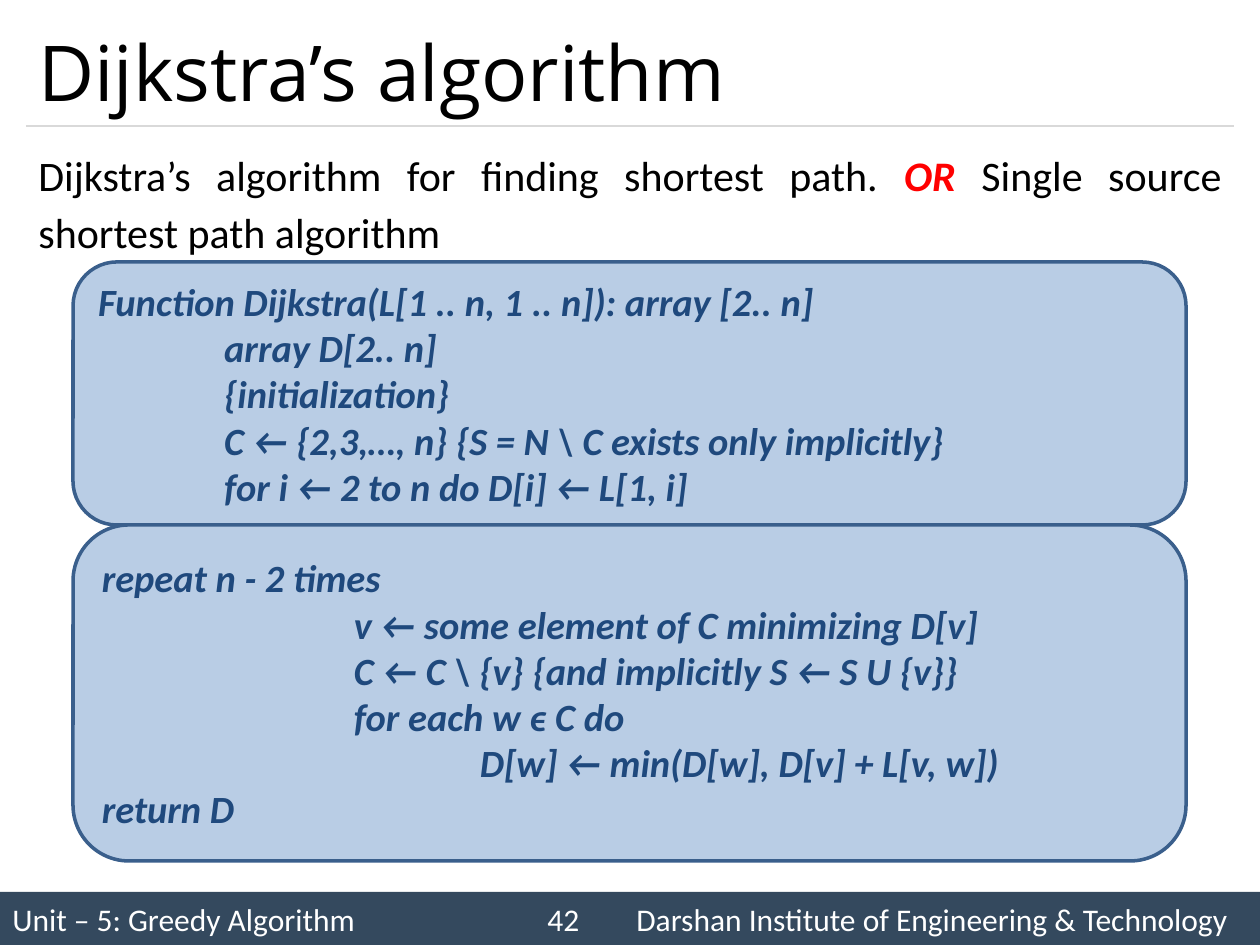
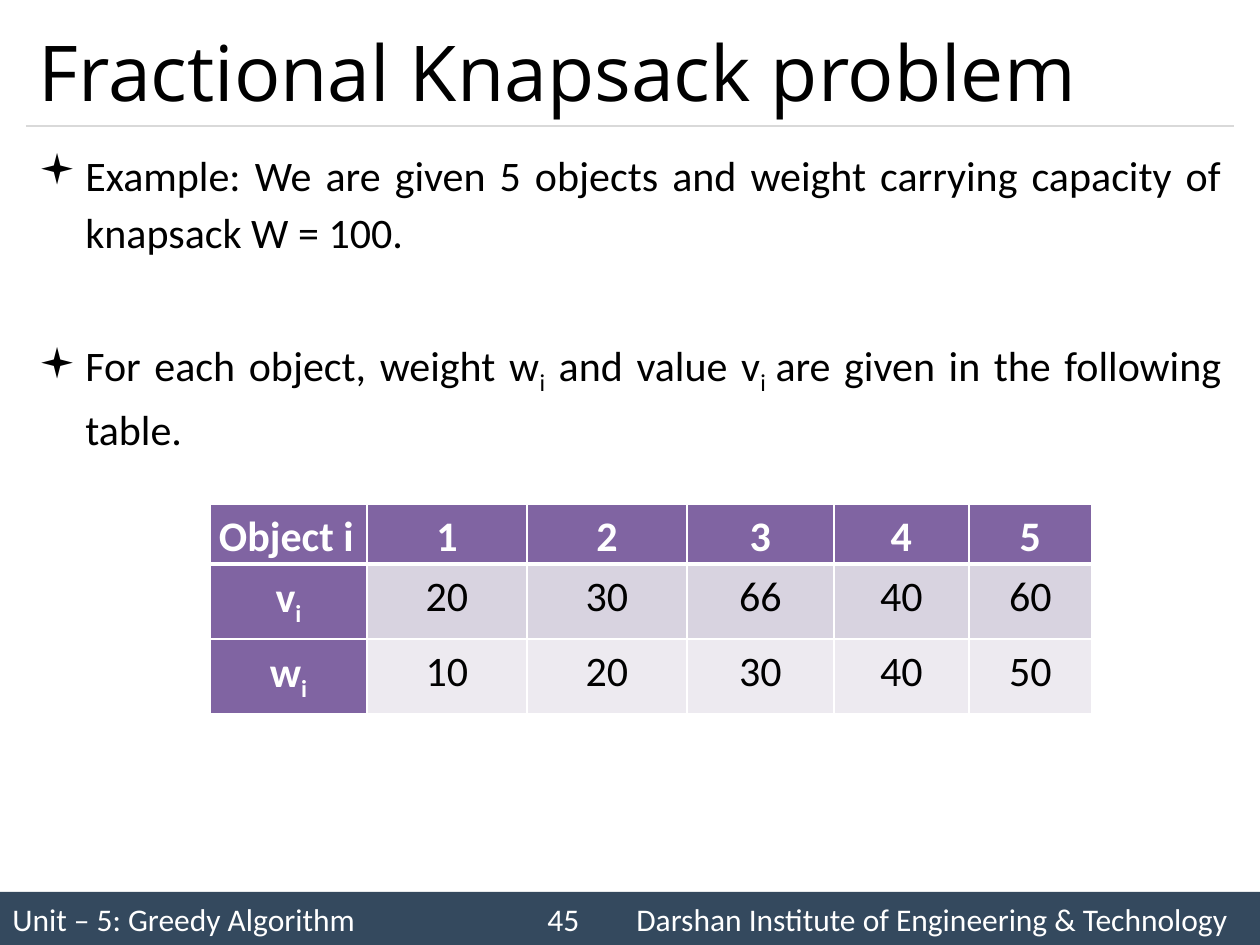
from pptx import Presentation
from pptx.dml.color import RGBColor
from pptx.enum.shapes import MSO_CONNECTOR, MSO_SHAPE
from pptx.enum.text import MSO_ANCHOR, PP_ALIGN
from pptx.oxml.ns import qn
from pptx.util import Pt
from lxml.etree import SubElement

SCALE = 914400 / 126
WIDTH, HEIGHT = 1260, 945
MARGIN = 26
RULE_Y = 126
BAND_HEIGHT = 53
FOOTER_TABS = (535, 624)
CODE_TABS = (126, 252, 378)
BULLET_INDENT = 47

BLACK = RGBColor(0x00, 0x00, 0x00)
WHITE = RGBColor(0xFF, 0xFF, 0xFF)
RED = RGBColor(0xFF, 0x00, 0x00)
RULE_GREY = RGBColor(0xD9, 0xD9, 0xD9)
BAND_BLUE = RGBColor(0x34, 0x49, 0x5E)
CODE_FILL = RGBColor(0xB9, 0xCD, 0xE5)
CODE_LINE = RGBColor(0x3A, 0x5F, 0x8C)
CODE_TEXT = RGBColor(0x1F, 0x49, 0x7D)
PURPLE = RGBColor(0x80, 0x64, 0xA2)
ROW_TINTS = (RGBColor(0xD8, 0xD3, 0xE0), RGBColor(0xED, 0xEA, 0xF0))

TITLE_FONT = "Open Sans"
TEXT_FONT = "Calibri"
BULLET_FONT = "Wingdings"

UNIT = "Unit – 5: Greedy Algorithm"
INSTITUTE = "Darshan Institute of Engineering & Technology"

INITIALIZATION = """Function Dijkstra(L[1 .. n, 1 .. n]): array [2.. n]
\tarray D[2.. n]
\t{initialization}
\tC ← {2,3,…, n} {S = N \\ C exists only implicitly}
\tfor i ← 2 to n do D[i] ← L[1, i]"""

GREEDY_LOOP = """repeat n - 2 times
\t\tv ← some element of C minimizing D[v]
\t\tC ← C \\ {v} {and implicitly S ← S U {v}}
\t\tfor each w ϵ C do
\t\t\tD[w] ← min(D[w], D[v] + L[v, w])
return D"""

COLUMN_WIDTHS = (157, 160, 160, 147, 135, 123)
ROW_HEIGHTS = (60, 75, 75)
KNAPSACK_ROWS = (
    (("Object i",), "1", "2", "3", "4", "5"),
    (("v", "i"), "20", "30", "66", "40", "60"),
    (("w", "i"), "10", "20", "30", "40", "50"),
)


def px(length):
    return round(length * SCALE)


def area(*lengths):
    return [px(length) for length in lengths]


def style(span, size, color=BLACK, font=TEXT_FONT, bold=False, italic=False):
    span.font.name = font
    span.font.size = Pt(size)
    span.font.color.rgb = color
    span.font.bold = bold
    span.font.italic = italic


def add_span(para, text, size=24, subscript=False, **look):
    span = para.add_run()
    span.text = text
    style(span, size, **look)
    if subscript:
        span._r.get_or_add_rPr().set("baseline", "-25000")


def set_tabs(para, positions):
    tabs = SubElement(para._p.get_or_add_pPr(), qn("a:tabLst"))
    for position in positions:
        SubElement(tabs, qn("a:tab"), pos=str(px(position)), algn="l")


def add_shape(page, kind, bounds, fill, line=None):
    shape = page.shapes.add_shape(kind, *area(*bounds))
    shape.shadow.inherit = False
    shape.fill.solid()
    shape.fill.fore_color.rgb = fill
    if line is None:
        shape.line.fill.background()
    else:
        shape.line.color.rgb = line
        shape.line.width = Pt(2)
    shape.text_frame.word_wrap = True
    shape.text_frame.vertical_anchor = MSO_ANCHOR.MIDDLE
    return shape


def add_footer(page, number):
    bounds = (0, HEIGHT - BAND_HEIGHT, WIDTH, BAND_HEIGHT)
    band = add_shape(page, MSO_SHAPE.RECTANGLE, bounds, BAND_BLUE)
    para = band.text_frame.paragraphs[0]
    para.alignment = PP_ALIGN.LEFT
    set_tabs(para, FOOTER_TABS)
    add_span(para, f"{UNIT}\t{number}\t{INSTITUTE}", 18, color=WHITE)


def add_rule(page):
    rule = page.shapes.add_connector(
        MSO_CONNECTOR.STRAIGHT, *area(MARGIN, RULE_Y, WIDTH - MARGIN, RULE_Y))
    rule.line.color.rgb = RULE_GREY
    rule.line.width = Pt(0.75)
    SubElement(rule._element.spPr, qn("a:effectLst"))


def add_text_box(page, top, height, anchor):
    box = page.shapes.add_textbox(*area(MARGIN, top, WIDTH - 2 * MARGIN, height))
    box.text_frame.word_wrap = True
    box.text_frame.vertical_anchor = anchor
    return box.text_frame


def add_page(deck, title, number):
    page = deck.slides.add_slide(deck.slide_layouts[6])
    add_footer(page, number)
    add_rule(page)
    frame = add_text_box(page, 15, 111, MSO_ANCHOR.MIDDLE)
    add_span(frame.paragraphs[0], title, 44, font=TITLE_FONT)
    return page


def add_body(page):
    return add_text_box(page, 136, 735, MSO_ANCHOR.TOP)


def format_body(para, bullet=False):
    para.alignment = PP_ALIGN.JUSTIFY
    para.line_spacing = 1.14
    if bullet:
        properties = para._p.get_or_add_pPr()
        properties.set("marL", str(px(BULLET_INDENT)))
        properties.set("indent", str(-px(BULLET_INDENT)))
        SubElement(properties, qn("a:buFont"), typeface=BULLET_FONT)
        SubElement(properties, qn("a:buChar"), char="▪")


def add_code_panel(page, top, height, code):
    panel = add_shape(page, MSO_SHAPE.ROUNDED_RECTANGLE,
                      (73, top, 1113, height), CODE_FILL, CODE_LINE)
    panel.text_frame.text = code
    for para in panel.text_frame.paragraphs:
        para.alignment = PP_ALIGN.LEFT
        set_tabs(para, CODE_TABS)
        for span in para.runs:
            style(span, 22, CODE_TEXT, bold=True, italic=True)


def set_borders(cell, top, bottom):
    properties = cell._tc.get_or_add_tcPr()
    for side, width in (("L", 1), ("R", 1), ("T", top), ("B", bottom)):
        line = SubElement(properties, qn(f"a:ln{side}"), w=str(Pt(width)))
        fill = SubElement(line, qn("a:solidFill"))
        SubElement(fill, qn("a:srgbClr"), val=str(WHITE))


def fill_cell(cell, content, row, column):
    heading = row == 0 or column == 0
    set_borders(cell, 3 if row == 1 else 1, 3 if row == 0 else 1)
    cell.fill.solid()
    cell.fill.fore_color.rgb = PURPLE if heading else ROW_TINTS[row - 1]
    cell.margin_left = cell.margin_right = px(9)
    cell.margin_top = cell.margin_bottom = 0
    para = cell.text_frame.paragraphs[0]
    corner = row == column == 0
    para.alignment = PP_ALIGN.JUSTIFY if corner else PP_ALIGN.CENTER
    para.line_spacing = 1.15
    parts = content if column == 0 else (content,)
    for index, text in enumerate(parts):
        add_span(para, text, subscript=index == 1, bold=heading,
                 color=WHITE if heading else BLACK)


def add_knapsack_table(page):
    bounds = area(210, 504, sum(COLUMN_WIDTHS), sum(ROW_HEIGHTS))
    table = page.shapes.add_table(
        len(ROW_HEIGHTS), len(COLUMN_WIDTHS), *bounds).table
    for column, width in zip(table.columns, COLUMN_WIDTHS):
        column.width = px(width)
    for row, height in zip(table.rows, ROW_HEIGHTS):
        row.height = px(height)
    for row, contents in enumerate(KNAPSACK_ROWS):
        for column, content in enumerate(contents):
            fill_cell(table.cell(row, column), content, row, column)


def build_dijkstra(deck):
    page = add_page(deck, "Dijkstra’s algorithm", 42)
    para = add_body(page).paragraphs[0]
    format_body(para)
    add_span(para, "Dijkstra’s algorithm for finding shortest path. ")
    add_span(para, "OR", color=RED, bold=True, italic=True)
    add_span(para, " Single source shortest path algorithm")
    add_code_panel(page, 262, 263, INITIALIZATION)
    add_code_panel(page, 525, 336, GREEDY_LOOP)


def build_knapsack(deck):
    page = add_page(deck, "Fractional Knapsack problem", 45)
    body = add_body(page)
    example = body.paragraphs[0]
    format_body(example, bullet=True)
    add_span(example, "Example: We are given 5 objects and weight carrying "
                      "capacity of knapsack W = 100.")
    given = body.add_paragraph()
    given.space_before = Pt(42.5)
    format_body(given, bullet=True)
    add_span(given, "For each object, weight w")
    add_span(given, "i", subscript=True)
    add_span(given, " and value v")
    add_span(given, "i ", subscript=True)
    add_span(given, "are given in the following table.")
    add_knapsack_table(page)


def main():
    deck = Presentation()
    deck.slide_width = px(WIDTH)
    deck.slide_height = px(HEIGHT)
    build_dijkstra(deck)
    build_knapsack(deck)
    deck.save("out.pptx")


if __name__ == "__main__":
    main()
